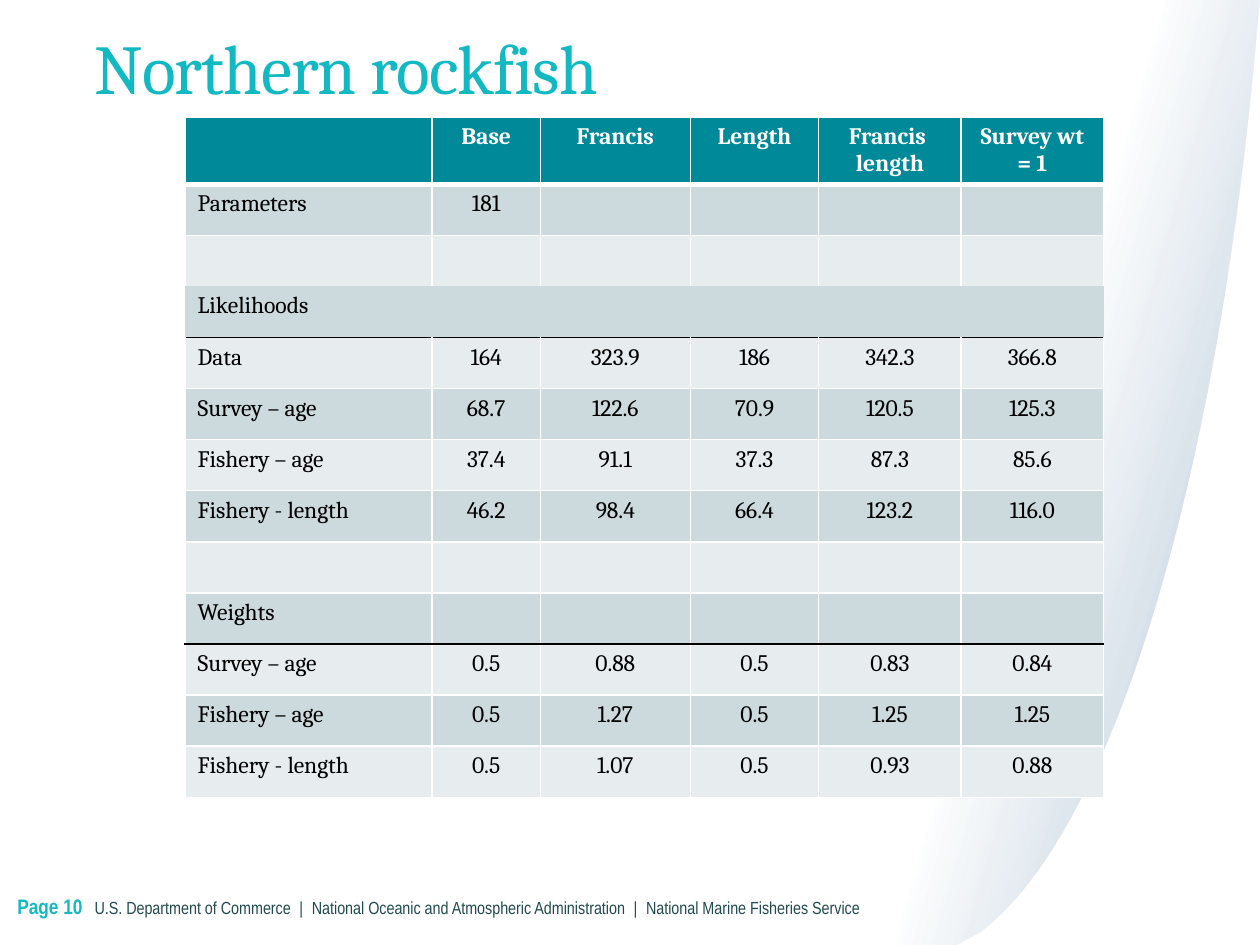
from lxml import etree
from pptx import Presentation
from pptx.dml.color import RGBColor
from pptx.enum import text
from pptx.oxml.ns import qn
from pptx.util import Pt

W, H = 720, 540
TEAL, WHITE, BLACK = "13B9C2", "FFFFFF", "000000"
HEADER, BANDS = "008998", ("CCDADD", "E7EDEF")
TITLE = "Northern rockfish"
FOOTERS = [
    ((54, 497.5, 527, 42.5),
     "U.S. Department of Commerce\u2002|\u2002National Oceanic and Atmospheric "
     "Administration\u2002|\u2002National Marine Fisheries Service",
     dict(name="Arial Narrow", size=Pt(10)), "214A4F"),
    ((10, 496, 44, 44), "Page 10",
     dict(name="Arial Narrow", size=Pt(12), bold=True), TEAL),
]
ROWS = [
    ["", "Base", "Francis", "Length", "Francis \nlength", "Survey wt = 1"],
    ["Parameters", "181"],
    [],
    ["Likelihoods"],
    ["Data", "164", "323.9", "186", "342.3", "366.8"],
    ["Survey – age", "68.7", "122.6", "70.9", "120.5", "125.3"],
    ["Fishery – age", "37.4", "91.1", "37.3", "87.3", "85.6"],
    ["Fishery - length", "46.2", "98.4", "66.4", "123.2", "116.0"],
    [],
    ["Weights"],
    ["Survey – age", "0.5", "0.88", "0.5", "0.83", "0.84"],
    ["Fishery – age", "0.5", "1.27", "0.5", "1.25", "1.25"],
    ["Fishery - length", "0.5", "1.07", "0.5", "0.93", "0.88"],
]
COLS = [141.1, 61.9, 85.7, 73.4, 81.4, 81.4]
LEFT, TOP, ROW_H = 105.8, 67, 29.2
LIKELIHOODS, WEIGHTS = 3, 9
SWEEP = [(715, 540), (512, 540), (632, 0), (720, 0)]
CURVES = [[(560, 533), (633.6, 478), (693.4, 285), (717, 33)]]


def rgb(value):
    return RGBColor.from_string(value)


def put_text(p, words, font, color):
    r = p.add_run()
    r.text = words
    for key, value in font.items():
        setattr(r.font, key, value)
    r.font.color.rgb = rgb(color)
    return r


def frame(sp, box, anchor, inset=0):
    sp.left, sp.top, sp.width, sp.height = map(Pt, box)
    tf = sp.text_frame
    values = dict(word_wrap=True, vertical_anchor=anchor, margin_left=0,
                  margin_right=0, margin_top=Pt(inset), margin_bottom=Pt(inset),
                  auto_size=text.MSO_AUTO_SIZE.NONE)
    for key, value in values.items():
        setattr(tf, key, value)
    return tf.paragraphs[0]


def bezier(ctrl, steps=40):
    for i in range(steps + 1):
        t = i / steps
        weights = ((1 - t) ** 3, 3 * t * (1 - t) ** 2, 3 * t * t * (1 - t), t ** 3)
        yield tuple(sum(w * c[k] for w, c in zip(weights, ctrl)) for k in (0, 1))


def polygon(s, points):
    pts = [(Pt(x), Pt(y)) for x, y in points]
    fb = s.shapes.build_freeform(*pts[0])
    fb.add_line_segments(pts[1:], close=True)
    sp = fb.convert_to_shape()
    sp.shadow.inherit = False
    sp.line.fill.background()
    return sp


def backdrop(s):
    sweep = polygon(s, SWEEP)
    sweep.fill.gradient()
    sweep.fill.gradient_angle = 344
    for stop, (position, alpha) in zip(sweep.fill.gradient_stops, [(0.42, 0), (1, 34)]):
        stop.position = position
        stop.color.rgb = rgb("07477D")
    colors = sweep._element.spPr.iter(qn("a:srgbClr"))
    for clr, alpha in zip(colors, (0, 34)):
        etree.SubElement(clr, qn("a:alpha"), val=str(alpha * 1000))
    for ctrl in CURVES:
        edge = [(W, 0), (W, H), (547, H), *bezier(ctrl)]
        for points in (edge, [(W - x, H - y) for x, y in edge]):
            sp = polygon(s, points)
            sp.fill.solid()
            sp.fill.fore_color.rgb = rgb(WHITE)


def borders(row):
    lines = {side: (WHITE, 1) for side in "LRTB"}
    if row == 0:
        lines["B"] = (WHITE, 3)
    elif row == 1:
        lines["T"] = (WHITE, 3)
    elif row == LIKELIHOODS - 1:
        lines["B"] = None
    elif row == LIKELIHOODS:
        lines.update(L=None, R=None, T=None)
    if row in (LIKELIHOODS, WEIGHTS):
        lines["B"] = (BLACK, 1)
    if row - 1 in (LIKELIHOODS, WEIGHTS):
        lines["T"] = (BLACK, 1)
    return lines


def draw_borders(cell, lines):
    tcPr = cell._tc.get_or_add_tcPr()
    for side, line in lines.items():
        color, width = line or (None, 0)
        ln = etree.SubElement(tcPr, qn(f"a:ln{side}"), w=str(Pt(width)))
        if color:
            fill = etree.SubElement(ln, qn("a:solidFill"))
            etree.SubElement(fill, qn("a:srgbClr"), val=color)
        else:
            etree.SubElement(ln, qn("a:noFill"))


def add_results(s):
    table = s.shapes.add_table(len(ROWS), len(COLS), Pt(LEFT), Pt(TOP),
                               Pt(sum(COLS)), Pt(ROW_H * len(ROWS))).table
    for column, width in zip(table.columns, COLS):
        column.width = Pt(width)
    for i, row in enumerate(ROWS):
        table.rows[i].height = Pt(ROW_H)
        head = i == 0
        font = dict(name="Cambria", size=Pt(13.5), bold=head)
        for j in range(len(COLS)):
            cell = table.cell(i, j)
            draw_borders(cell, borders(i))
            cell.fill.solid()
            cell.fill.fore_color.rgb = rgb(HEADER if head else BANDS[(i - 1) % 2])
            words = row[j] if j < len(row) else ""
            for n, part in enumerate(words.split("\n")):
                tf = cell.text_frame
                p = tf.add_paragraph() if n else tf.paragraphs[0]
                p.alignment = text.PP_ALIGN.CENTER if j else text.PP_ALIGN.LEFT
                put_text(p, part, font, WHITE if head else BLACK)


def main():
    prs = Presentation()
    prs.slide_width, prs.slide_height = Pt(W), Pt(H)
    s = prs.slides.add_slide(prs.slide_layouts[5])
    backdrop(s)
    for box, words, font, color in FOOTERS:
        sp = s.shapes.add_textbox(0, 0, 0, 0)
        put_text(frame(sp, box, text.MSO_ANCHOR.MIDDLE), words, font, color)
    title = s.shapes.title
    s.shapes._spTree.append(title._element)
    p = frame(title, (54, 15, 644.5, 47.5), text.MSO_ANCHOR.BOTTOM)
    p.alignment, p.line_spacing = text.PP_ALIGN.LEFT, 0.9
    r = put_text(p, TITLE, dict(name="Cambria", size=Pt(40)), TEAL)
    r.font._element.set("spc", "-50")
    add_results(s)
    prs.save("out.pptx")


if __name__ == "__main__":
    main()
